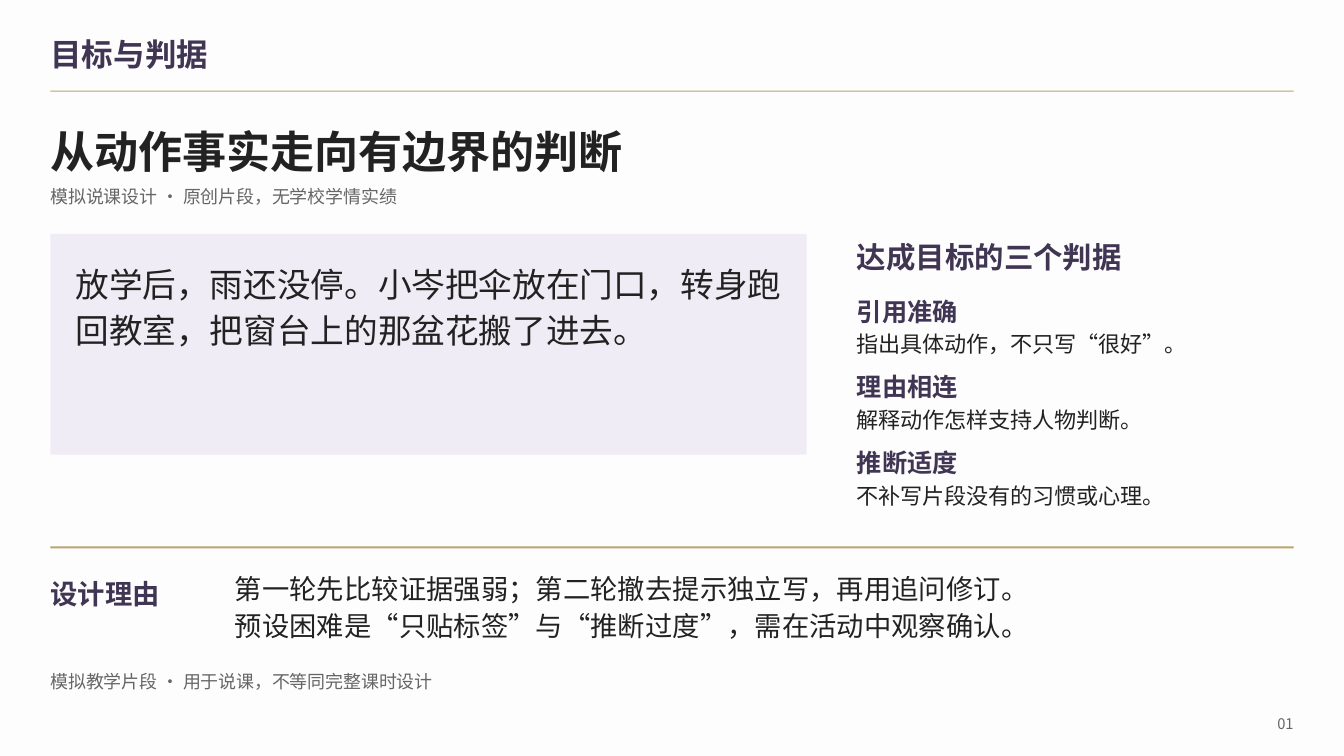
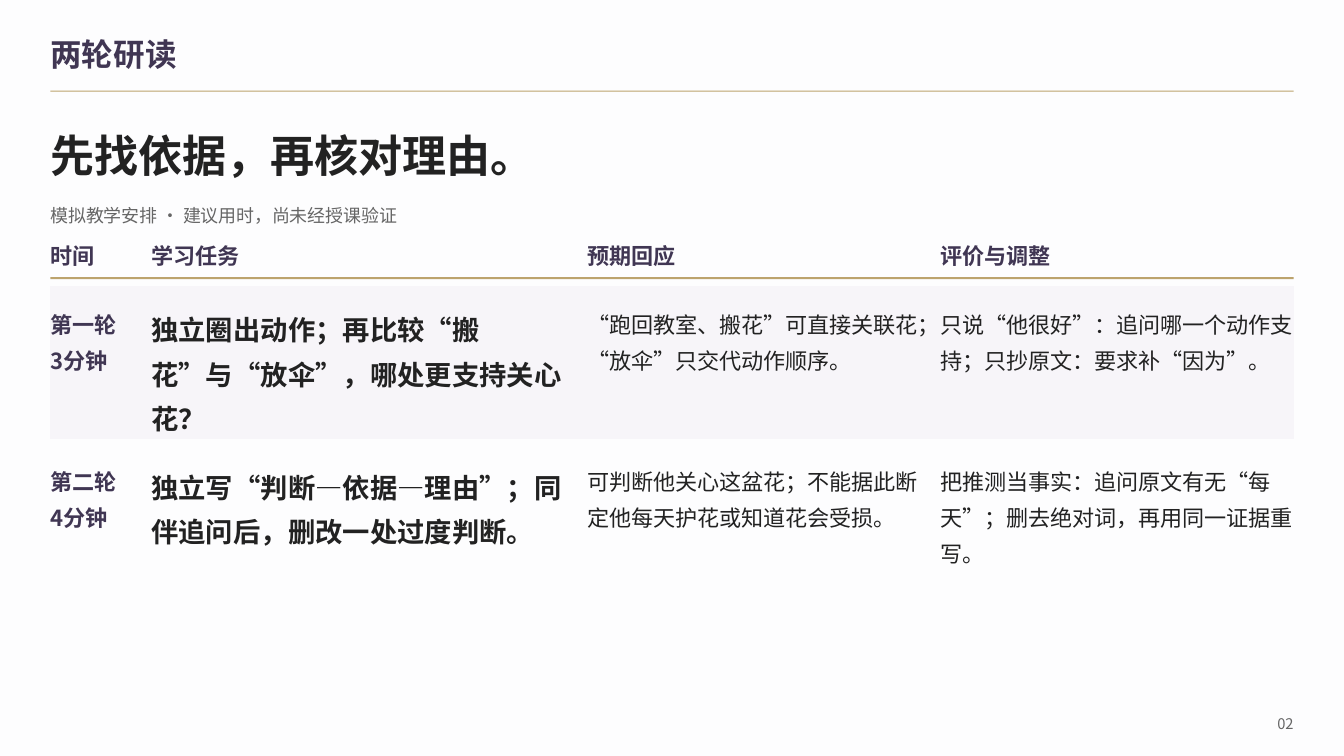
"""Build two lesson-design slides: goals with criteria, and a two-round reading plan."""
import pptx
import pptx.dml.color
import pptx.enum.shapes
import pptx.enum.text
import pptx.oxml.ns
import pptx.util
import lxml.etree

Inches = pptx.util.Inches
Pt = pptx.util.Pt
ALIGN = pptx.enum.text.PP_ALIGN
ANCHOR = pptx.enum.text.MSO_ANCHOR

FONT = "Noto Sans CJK SC"
NO_GRID_STYLE = "{2D5ABB26-0587-4C30-8999-92F81FD0307C}"
COLORS = {
    "paper": "FDFDFE",
    "ink": "222222",
    "plum": "403653",
    "gray": "666666",
    "gold": "BCA36D",
    "lilac": "F0ECF5",
    "mist": "F7F5F9",
}
STYLES = {
    "section": (22.5, "plum", True),
    "headline": (31.5, "ink", True),
    "note": (12.75, "gray", False),
    "passage": (24, "ink", False),
    "criteria": (21, "plum", True),
    "criterion": (18, "plum", True),
    "small": (15.75, "ink", False),
    "label": (15.75, "plum", True),
    "reason_label": (19.5, "plum", True),
    "reason": (19.5, "ink", False),
    "task": (19.5, "ink", True),
    "page": (10.5, "gray", False),
}
LEFT, WIDTH = 0.5, 12.33


def rgb(name):
    return pptx.dml.color.RGBColor.from_string(COLORS[name])


def write(tf, text, style, spacing=None, align=ALIGN.LEFT):
    size, color, bold = STYLES[style]
    tf.word_wrap = True
    for i, line in enumerate(text.split("\n")):
        p = tf.paragraphs[0] if i == 0 else tf.add_paragraph()
        p.text = line
        p.alignment = align
        if spacing:
            p.line_spacing = spacing
        font = p.font
        font.name, font.size, font.bold = FONT, Pt(size), bold
        font.color.rgb = rgb(color)
        ea = lxml.etree.SubElement(font._rPr, pptx.oxml.ns.qn("a:ea"))
        ea.set("typeface", FONT)


def set_margins(target, left=0, top=0, right=0, bottom=0):
    target.margin_left, target.margin_top = Inches(left), Inches(top)
    target.margin_right, target.margin_bottom = Inches(right), Inches(bottom)


def add_text(s, box, text, style, spacing=None, align=ALIGN.LEFT, anchor=ANCHOR.TOP):
    tf = s.shapes.add_textbox(*map(Inches, box)).text_frame
    set_margins(tf)
    tf.vertical_anchor = anchor
    tf.auto_size = pptx.enum.text.MSO_AUTO_SIZE.SHAPE_TO_FIT_TEXT
    write(tf, text, style, spacing, align)


def add_block(s, box, color):
    sp = s.shapes.add_shape(pptx.enum.shapes.MSO_SHAPE.RECTANGLE, *map(Inches, box))
    sp.shadow.inherit = False
    sp.fill.solid()
    sp.fill.fore_color.rgb = rgb(color)
    sp.line.fill.background()
    return sp


def add_rule(s, top, thickness=0.02):
    add_block(s, (LEFT, top, WIDTH, thickness), "gold")


def add_page(prs, section):
    s = prs.slides.add_slide(prs.slide_layouts[6])
    s.background.fill.solid()
    s.background.fill.fore_color.rgb = rgb("paper")
    add_rule(s, 0.9, 0.01)
    add_text(s, (LEFT, 0.31, 10.52, 0.45), section, "section", anchor=ANCHOR.MIDDLE)
    add_text(s, (12.4, 7.05, 0.43, 0.25), f"{len(prs.slides):02d}", "page",
             align=ALIGN.RIGHT, anchor=ANCHOR.MIDDLE)
    return s


def add_passage(s, box, text):
    sp = add_block(s, box, "lilac")
    set_margins(sp.text_frame, 0.25, 0.25, 0.25, 0.25)
    sp.text_frame.vertical_anchor = ANCHOR.TOP
    write(sp.text_frame, text, "passage", Pt(32.4))


def add_criteria(s, left, top, title, items):
    width, pitch = 4.33, 0.75
    add_text(s, (left, top, width, 0.46), title, "criteria", Pt(28.4))
    for i, (name, detail) in enumerate(items):
        y = top + 0.57 + i * pitch
        add_text(s, (left, y, width, 0.4), name, "criterion", Pt(24.3))
        add_text(s, (left, y + 0.35, width, 0.36), detail, "small", Pt(21.3))


def add_plan(s, top, rows):
    columns = [(1, 0.08), (4.33, 0.16), (3.5, 0.17), (3.5, 0)]
    bands = [(0.53, 0.02, None), (1.52, 0.18, "mist"), (1.55, 0.22, None)]
    body_styles = ["label", "task", "small", "small"]
    frame = s.shapes.add_table(len(rows), len(columns), Inches(LEFT), Inches(top),
                               Inches(WIDTH), Inches(sum(b[0] for b in bands)))
    table = frame.table
    table.first_row = table.horz_banding = False
    table._tbl.tblPr.find(pptx.oxml.ns.qn("a:tableStyleId")).text = NO_GRID_STYLE
    for column, (width, _) in zip(table.columns, columns):
        column.width = Inches(width)
    for i, (texts, (height, pad, color)) in enumerate(zip(rows, bands)):
        table.rows[i].height = Inches(height)
        for j, text in enumerate(texts):
            cell = table.cell(i, j)
            set_margins(cell, top=pad, right=columns[j][1])
            cell.vertical_anchor = ANCHOR.TOP
            if color:
                cell.fill.solid()
                cell.fill.fore_color.rgb = rgb(color)
            else:
                cell.fill.background()
            write(cell.text_frame, text, body_styles[j] if i else "label", 1.12)


def build_goals(prs):
    s = add_page(prs, "目标与判据")
    add_text(s, (LEFT, 1.17, WIDTH, 0.65), "从动作事实走向有边界的判断", "headline", Pt(42.5))
    add_text(s, (LEFT, 1.82, WIDTH, 0.3), "模拟说课设计 · 原创片段，无学校学情实绩", "note", Pt(17.2))
    add_passage(s, (LEFT, 2.32, 7.5, 2.19),
                "放学后，雨还没停。小岑把伞放在门口，转身跑回教室，把窗台上的那盆花搬了进去。")
    add_criteria(s, 8.5, 2.33, "达成目标的三个判据", [
        ("引用准确", "指出具体动作，不只写“很好”。"),
        ("理由相连", "解释动作怎样支持人物判断。"),
        ("推断适度", "不补写片段没有的习惯或心理。"),
    ])
    add_rule(s, 5.42)
    add_text(s, (LEFT, 5.69, 1.56, 0.43), "设计理由", "reason_label", Pt(26.3))
    add_text(s, (2.33, 5.64, 10.5, 0.79),
             "第一轮先比较证据强弱；第二轮撤去提示独立写，再用追问修订。\n"
             "预设困难是“只贴标签”与“推断过度”，需在活动中观察确认。", "reason", Pt(26.3))
    add_text(s, (LEFT, 6.63, 11.83, 0.3), "模拟教学片段 · 用于说课，不等同完整课时设计",
             "note", Pt(17.2))


def build_rounds(prs):
    s = add_page(prs, "两轮研读")
    add_text(s, (LEFT, 1.17, WIDTH, 0.59), "先找依据，再核对理由。", "headline", 1.2)
    add_text(s, (LEFT, 1.92, WIDTH, 0.33), "模拟教学安排 · 建议用时，尚未经授课验证", "note", 1.5)
    add_plan(s, 2.31, [
        ("时间", "学习任务", "预期回应", "评价与调整"),
        ("第一轮\n3分钟",
         "独立圈出动作；再比较“搬花”与“放伞”，哪处更支持关心花？",
         "“跑回教室、搬花”可直接关联花；“放伞”只交代动作顺序。",
         "只说“他很好”：追问哪一个动作支持；只抄原文：要求补“因为”。"),
        ("第二轮\n4分钟",
         "独立写“判断—依据—理由”；同伴追问后，删改一处过度判断。",
         "可判断他关心这盆花；不能据此断定他每天护花或知道花会受损。",
         "把推测当事实：追问原文有无“每天”；删去绝对词，再用同一证据重写。"),
    ])
    add_rule(s, 2.75)


def main():
    prs = pptx.Presentation()
    prs.slide_width, prs.slide_height = Inches(13.33), Inches(7.5)
    build_goals(prs)
    build_rounds(prs)
    prs.save("out.pptx")


if __name__ == "__main__":
    main()
